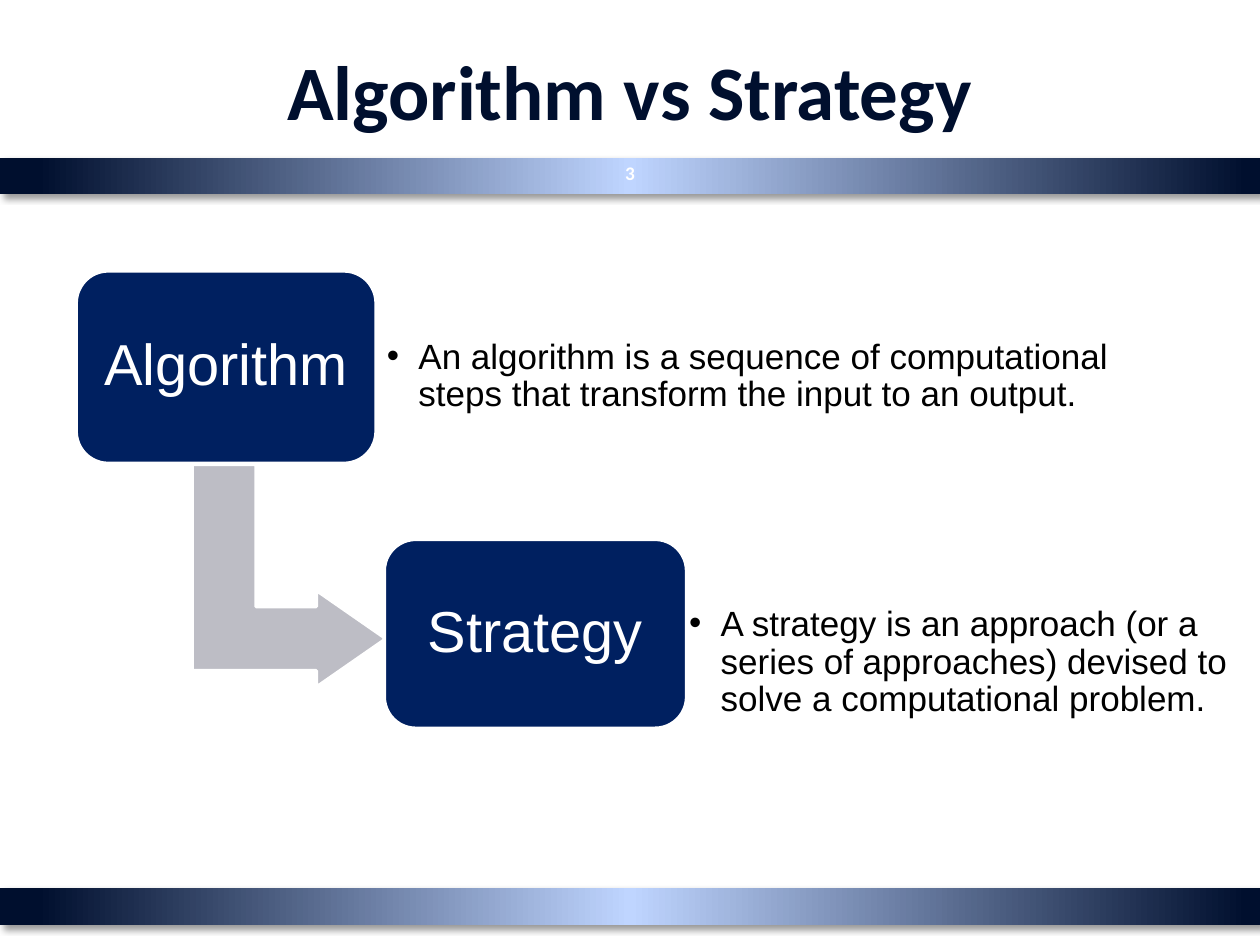
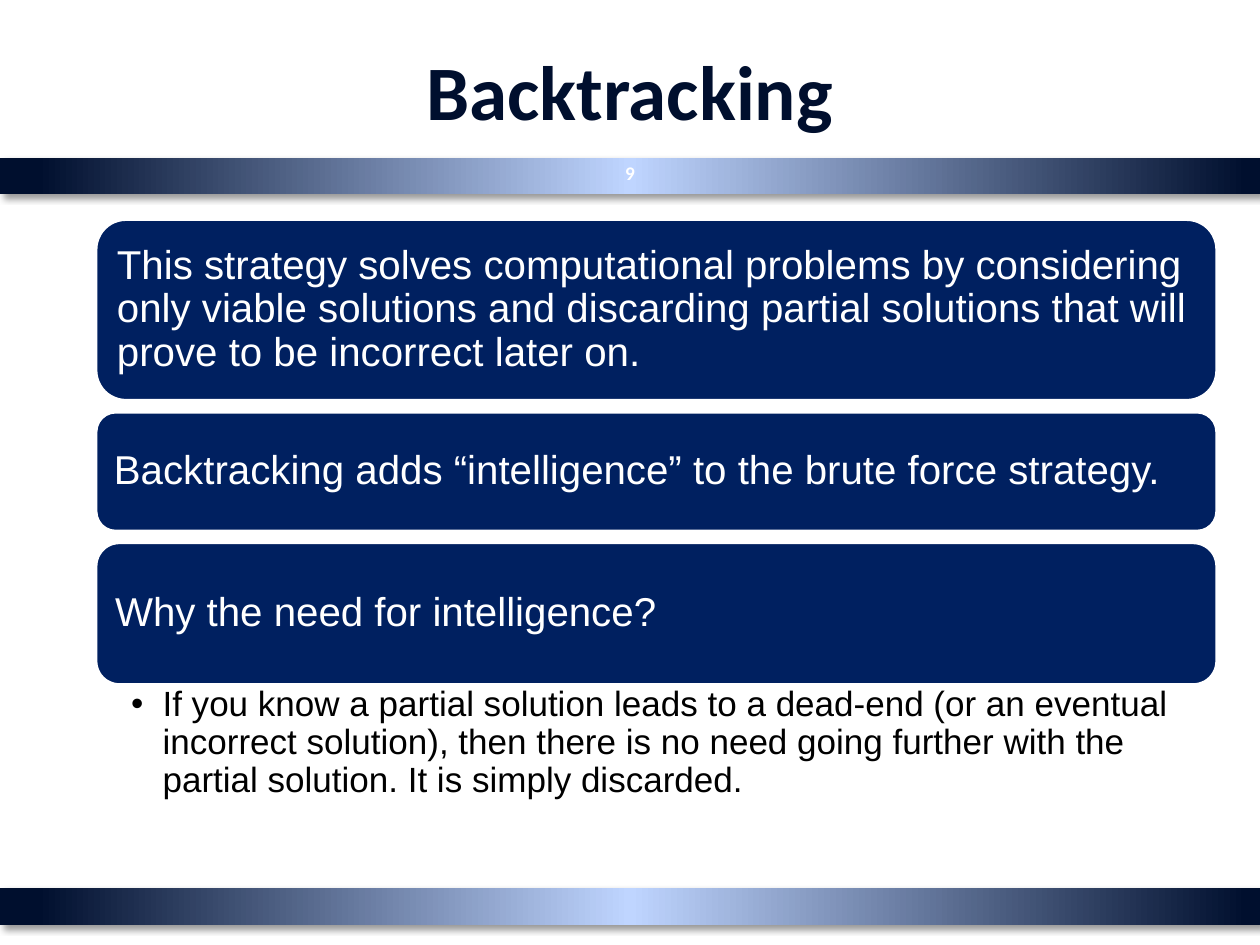
from lxml import etree
from pptx import Presentation
from pptx.dml.color import RGBColor
from pptx.enum.shapes import MSO_SHAPE
from pptx.enum.text import MSO_ANCHOR, MSO_AUTO_SIZE, PP_ALIGN
from pptx.oxml.ns import qn
from pptx.util import Pt

RECT, ROUND, BENT = MSO_SHAPE.RECTANGLE, MSO_SHAPE.ROUNDED_RECTANGLE, MSO_SHAPE.BENT_UP_ARROW
LEFT, CENTER = PP_ALIGN.LEFT, PP_ALIGN.CENTER
TOP, MIDDLE = MSO_ANCHOR.TOP, MSO_ANCHOR.MIDDLE
NO_FIT = MSO_AUTO_SIZE.NONE

INK = RGBColor(0x00, 0x0F, 0x2E)
GLOW = RGBColor(0xBF, 0xD5, 0xFF)
NAVY = RGBColor(0x00, 0x20, 0x60)
GRAY = RGBColor(0xBD, 0xBD, 0xC5)
WHITE = RGBColor(0xFF, 0xFF, 0xFF)
BLACK = RGBColor(0x00, 0x00, 0x00)

WIDTH, HEIGHT = 720, 540
STOPS = ((0, INK), (3, INK), (50, GLOW), (99, INK), (100, INK))


def node(parent, tag, **attrs):
    return etree.SubElement(parent, qn(tag), {k: str(v) for k, v in attrs.items()})


def put(frame, text, size=20, font="Arial", color=BLACK, bold=False, align=LEFT,
        anchor=MIDDLE, inset=(7.2, 3.6, 7.2, 3.6), line=1.0, after=0, indent=0):
    frame.word_wrap = True
    frame.auto_size = NO_FIT
    frame.vertical_anchor = anchor
    frame.margin_left, frame.margin_top, frame.margin_right, frame.margin_bottom = map(Pt, inset)
    para = frame.paragraphs[0]
    para.alignment = align
    para.line_spacing = line
    para.space_before, para.space_after = Pt(0), Pt(after)
    run = para.add_run()
    run.text = text
    run.font.size, run.font.name, run.font.bold = Pt(size), font, bold
    run.font.color.rgb = color
    if indent:
        props = para._p.get_or_add_pPr()
        props.set("marL", str(Pt(indent)))
        props.set("indent", str(-Pt(indent)))
        node(node(props, "a:buClr"), "a:srgbClr", val=BLACK)
        node(props, "a:buFont", typeface="Arial")
        node(props, "a:buChar", char="•")


class Deck:
    def __init__(self):
        self.show = Presentation()
        self.show.slide_width, self.show.slide_height = Pt(WIDTH), Pt(HEIGHT)
        self.slide = None

    def page(self, title, number, layout):
        self.slide = self.show.slides.add_slide(self.show.slide_layouts[layout])
        for y in (507.6, 90):
            self.band(y)
        head = self.slide.shapes.title
        self.place(head, 36, 6, 648, 90)
        put(head.text_frame, title, size=44, font="Calibri", color=INK, bold=True, align=CENTER)
        box = self.slide.shapes.add_textbox(Pt(345), Pt(84.3), Pt(30), Pt(28.8))
        put(box.text_frame, number, size=11, font="Calibri", color=WHITE, bold=True, align=CENTER)

    def place(self, item, x, y, w, h):
        item.left, item.top, item.width, item.height = map(Pt, (x, y, w, h))

    def shape(self, kind, x, y, w, h, fill):
        item = self.slide.shapes.add_shape(kind, Pt(x), Pt(y), Pt(w), Pt(h))
        item.fill.solid()
        item.fill.fore_color.rgb = fill
        item.line.color.rgb = WHITE
        item.line.width = Pt(2)
        item.shadow.inherit = False
        return item

    def band(self, y):
        item = self.shape(RECT, 0, y, WIDTH, 20.9, INK)
        item.line.fill.background()
        item.fill.gradient()
        item.fill.gradient_angle = 0
        props = item.element.spPr
        stops = props.find(".//" + qn("a:gsLst"))
        for stop in list(stops):
            stops.remove(stop)
        for pos, color in STOPS:
            node(node(stops, "a:gs", pos=pos * 1000), "a:srgbClr", val=color)
        cast = node(props.find(qn("a:effectLst")), "a:outerShdw", blurRad=Pt(4), dist=Pt(3),
                    dir=45 * 60000, algn="tl", rotWithShape=0)
        node(node(cast, "a:srgbClr", val=BLACK), "a:alpha", val=40000)

    def card(self, text, x, y, w, h, size, align=LEFT):
        item = self.shape(ROUND, x, y, w, h, NAVY)
        put(item.text_frame, text, size=size, color=WHITE, align=align,
            inset=(7.2,) * 4, line=0.9)

    def bend(self, x, y, w, h, adjust):
        item = self.shape(BENT, x, y, w, h, GRAY)
        item.rotation = 90
        for i, value in enumerate(adjust):
            item.adjustments[i] = value

    def point(self, slot, text, x, y, w, h, anchor=MIDDLE, inset=(5.8,) * 4):
        item = self.slide.placeholders[slot]
        self.place(item, x, y, w, h)
        put(item.text_frame, text, anchor=anchor, inset=inset, line=0.9, after=3, indent=18)


deck = Deck()

deck.page("Algorithm vs Strategy", "3", layout=3)
deck.bend(101.5, 273.6, 127.4, 110.9, (0.33, 0.25, 0.36))
deck.card("Algorithm", 43.5, 154.8, 171.4, 110, 33, CENTER)
deck.point(1, "An algorithm is a sequence of computational steps that transform "
           "the input to an output.", 215.3, 154, 441.4, 122.4)
deck.card("Strategy", 219.6, 308.2, 172.8, 108, 33, CENTER)
deck.point(2, "A strategy is an approach (or a series of approaches) devised to "
           "solve a computational problem.", 388, 317.5, 332, 122.4)

deck.page("Backtracking", "9", layout=1)
ROWS = (
    ("This strategy solves computational problems by considering only viable solutions "
     "and discarding partial solutions that will prove to be incorrect later on.", 103.7),
    ("Backtracking adds “intelligence” to the brute force strategy.", 68.4),
    ("Why the need for intelligence?", 81.4),
)
GAP = 6.3
y = 125.3
for text, tall in ROWS:
    deck.card(text, 54.7, y, 640.8, tall, 23)
    y += tall + GAP
deck.point(1, "If you know a partial solution leads to a dead-end (or an eventual incorrect "
           "solution), then there is no need going further with the partial solution. "
           "It is simply discarded.", 54.7, 390.2, 640.8, 67,
           anchor=TOP, inset=(20.2, 2.2, 11.5, 2.2))

deck.show.save("out.pptx")
